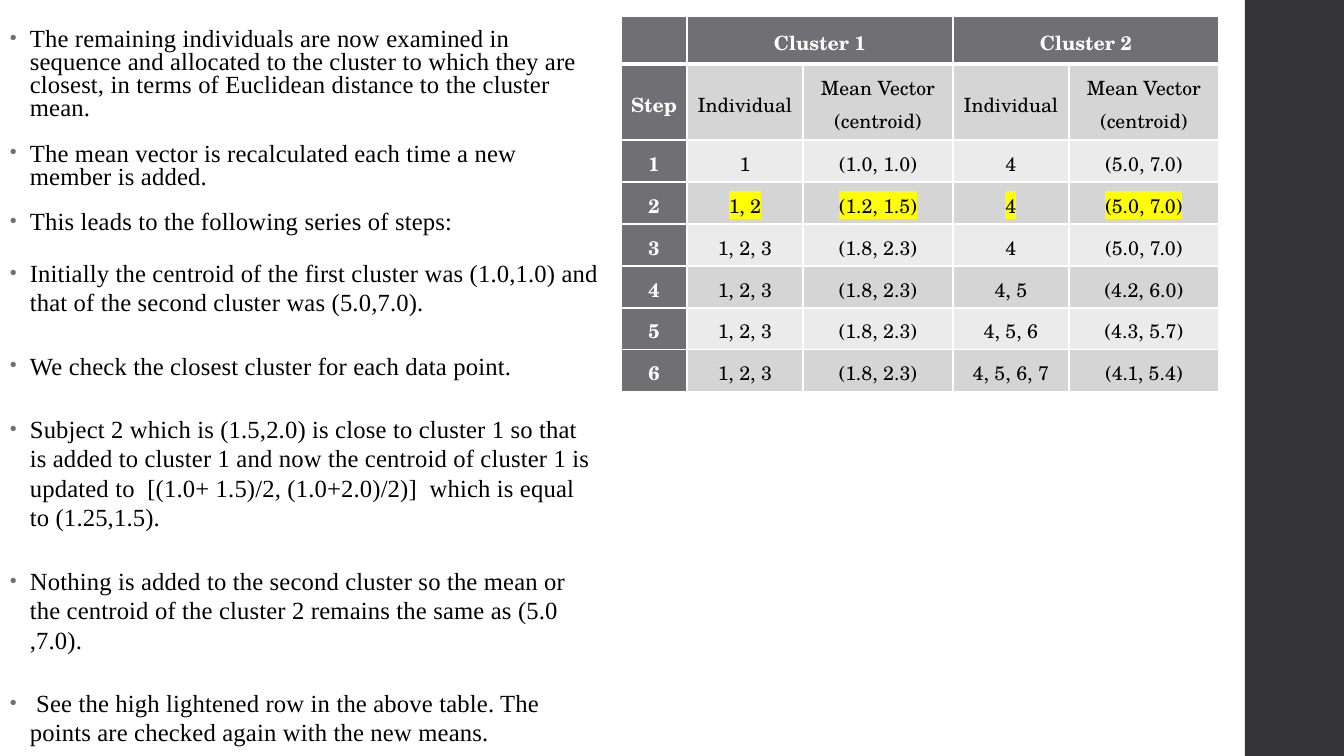
"""Build the slide that walks through the k-means steps."""
import pptx
import pptx.dml.color
import pptx.enum.shapes
import pptx.enum.text
import pptx.oxml
import pptx.oxml.ns
import pptx.util

PX = 914400 / 100.8
NAMESPACE = pptx.oxml.ns.nsdecls("a")
DARK, GREY, WHITE, BLACK = "353537", "6F6F74", "FFFFFF", "000000"
BANDS = ("D5D5D6", "EBEBEB")
HIGHLIGHT = "FFFF00"
HIGHLIGHTED_STEP = "2"

OPENING_POINTS = [
    "The remaining individuals are now examined in sequence and allocated to the cluster "
    "to which they are closest, in terms of Euclidean distance to the cluster mean.",
    "The mean vector is recalculated each time a new member is added.",
    "This leads to the following series of steps:",
]
STEP_POINTS = [
    "Initially the centroid of the first cluster was (1.0,1.0) and that of the second "
    "cluster was (5.0,7.0).",
    "We check the closest cluster for each data point.",
    "Subject 2 which is (1.5,2.0) is close to cluster 1 so that is added to cluster 1 and "
    "now the centroid of cluster 1 is updated to  [(1.0+ 1.5)/2, (1.0+2.0)/2)]  which is "
    "equal to (1.25,1.5).",
    "Nothing is added to the second cluster so the mean or the centroid of the cluster 2 "
    "remains the same as (5.0 ,7.0).",
    " See the high lightened row in the above table. The points are checked again with the "
    "new means.",
]
CLUSTER_ROWS = [
    ("", "Cluster 1", "", "Cluster 2", ""),
    ("Step", "Individual", "Mean Vector (centroid)", "Individual", "Mean Vector (centroid)"),
    ("1", "1", "(1.0, 1.0)", "4", "(5.0, 7.0)"),
    ("2", "1, 2", "(1.2, 1.5)", "4", "(5.0, 7.0)"),
    ("3", "1, 2, 3", "(1.8, 2.3)", "4", "(5.0, 7.0)"),
    ("4", "1, 2, 3", "(1.8, 2.3)", "4, 5", "(4.2, 6.0)"),
    ("5", "1, 2, 3", "(1.8, 2.3)", "4, 5, 6", "(4.3, 5.7)"),
    ("6", "1, 2, 3", "(1.8, 2.3)", "4, 5, 6, 7", "(4.1, 5.4)"),
]
COLUMN_WIDTHS = [66, 116, 150, 116, 150]
ROW_HEIGHTS = [48, 76] + [42] * 6


def px(length):
    """Turn pixels into EMU."""
    return pptx.util.Emu(round(length * PX))


def colour(hex_code):
    """Turn a hex string into a colour."""
    return pptx.dml.color.RGBColor.from_string(hex_code)


def element(markup):
    """Parse one drawing element, adding its namespace."""
    name, rest = markup[:-2].partition(" ")[::2]
    return pptx.oxml.parse_xml(f"{name} {NAMESPACE} {rest}/>")


def colour_element(tag, hex_code):
    """Make an element that holds one colour."""
    holder = element(f"<a:{tag} />")
    holder.append(element(f'<a:srgbClr val="{hex_code}"/>'))
    return holder


def write(para, text, font, size, ink=BLACK, bold=False, highlight=None, tracking=None,
          line=1.0, before=0, after=0, align=None):
    """Put formatted text in a paragraph."""
    para.line_spacing = line
    para.space_before = pptx.util.Pt(before)
    para.space_after = pptx.util.Pt(after)
    para.alignment = align
    span = para.add_run()
    span.text = text
    span.font.name = font
    span.font.size = pptx.util.Pt(size)
    span.font.bold = bold
    span.font.color.rgb = colour(ink)
    properties = span.font._element
    if tracking:
        properties.set("spc", str(tracking))
    if highlight:
        fill = properties.find(pptx.oxml.ns.qn("a:solidFill"))
        fill.addnext(colour_element("highlight", highlight))


def add_bullet(para):
    """Give a paragraph a small grey bullet with a hanging indent."""
    properties = para._p.get_or_add_pPr()
    properties.set("marL", str(px(20)))
    properties.set("indent", str(-px(20)))
    properties.append(colour_element("buClr", GREY))
    properties.append(element('<a:buSzPct val="80000"/>'))
    properties.append(element('<a:buFont typeface="Arial"/>'))
    properties.append(element('<a:buChar char="•"/>'))


def add_side_bar(page):
    """Draw the dark bar at the right edge."""
    bar = page.shapes.add_shape(pptx.enum.shapes.MSO_SHAPE.RECTANGLE,
                                px(1245), px(0), px(99), px(756))
    bar.shadow.inherit = False
    bar.fill.solid()
    bar.fill.fore_color.rgb = colour(DARK)
    bar.line.fill.background()


def add_points(page):
    """Write the bulleted explanation on the left."""
    box = page.shapes.add_textbox(px(0), px(24), px(611), px(732))
    frame = box.text_frame
    frame.word_wrap = True
    points = [(text, 0.78, 2) for text in OPENING_POINTS]
    points += [(text, 1.0, 10) for text in STEP_POINTS]
    for index, (text, line, after) in enumerate(points):
        para = frame.add_paragraph() if index else frame.paragraphs[0]
        write(para, text, "Times New Roman", 17.6, tracking=10,
              line=line, before=14, after=after)
        add_bullet(para)


def add_borders(cell, **widths):
    """Draw white cell borders, with widths in points by side."""
    properties = cell._tc.get_or_add_tcPr()
    for index, side in enumerate("LRTB"):
        border = element(f'<a:ln{side} w="{pptx.util.Pt(widths.get(side, 1))}"/>')
        border.append(colour_element("solidFill", WHITE))
        properties.insert(index, border)


def style_cell(cell, text, row, column):
    """Fill, frame and write one cell by its place in the table."""
    heading = row == 0 or column == 0
    cell.fill.solid()
    cell.fill.fore_color.rgb = colour(GREY if heading else BANDS[(row + 1) % 2])
    add_borders(cell, B=3 if row == 0 else 1, T=3 if row == 1 else 1)
    cell.margin_left = cell.margin_right = cell.margin_top = cell.margin_bottom = px(1)
    cell.vertical_anchor = pptx.enum.text.MSO_ANCHOR.MIDDLE
    if text:
        marked = CLUSTER_ROWS[row][0] == HIGHLIGHTED_STEP and not heading
        write(cell.text_frame.paragraphs[0], text, "TeX Gyre Schola", 14,
              ink=WHITE if heading else BLACK, bold=heading,
              highlight=HIGHLIGHT if marked else None, line=1.15, after=10,
              align=pptx.enum.text.PP_ALIGN.CENTER)


def add_cluster_table(page):
    """Build the table of cluster members and means."""
    frame = page.shapes.add_table(len(ROW_HEIGHTS), len(COLUMN_WIDTHS), px(621), px(16),
                                  px(sum(COLUMN_WIDTHS)), px(sum(ROW_HEIGHTS)))
    table = frame.table
    for column, width in zip(table.columns, COLUMN_WIDTHS):
        column.width = px(width)
    for row, height in zip(table.rows, ROW_HEIGHTS):
        row.height = px(height)
    for first in (1, 3):
        table.cell(0, first).merge(table.cell(0, first + 1))
    for row, texts in enumerate(CLUSTER_ROWS):
        for column, text in enumerate(texts):
            style_cell(table.cell(row, column), text, row, column)


def main():
    """Build and save the deck."""
    deck = pptx.Presentation()
    deck.slide_width, deck.slide_height = px(1344), px(756)
    page = deck.slides.add_slide(deck.slide_layouts[6])
    add_side_bar(page)
    add_points(page)
    add_cluster_table(page)
    deck.save("out.pptx")


if __name__ == "__main__":
    main()
